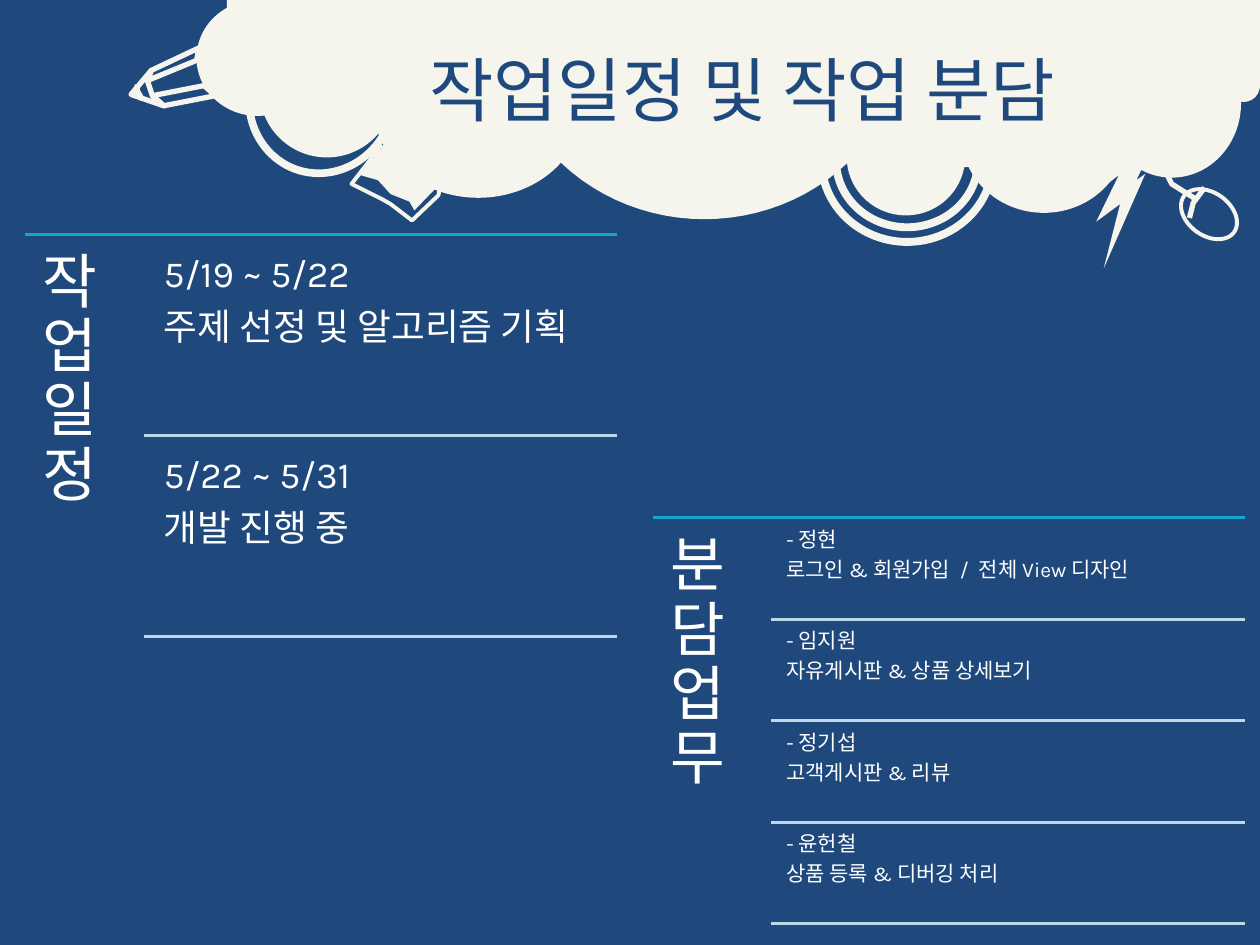
"""Build the work schedule and task sharing slide on a grid of 1000 columns by 750 rows."""
from dataclasses import dataclass
from math import cos, pi, sin

from lxml import etree
from pptx import Presentation
from pptx.dml.color import RGBColor
from pptx.enum.shapes import MSO_CONNECTOR, MSO_SHAPE
from pptx.enum.text import MSO_ANCHOR, PP_ALIGN
from pptx.oxml.ns import qn
from pptx.util import Inches, Pt

COLS, ROWS = 1000, 750
CELL = Inches(10) // COLS
FONT = "Karla"
HUES = {"navy": "1F497D", "cream": "F5F5EE", "teal": "10A8CB", "pale": "BDD9E7", "white": "FFFFFF"}
STRAIGHT = MSO_CONNECTOR.STRAIGHT
RECT, OVAL = MSO_SHAPE.RECTANGLE, MSO_SHAPE.OVAL
DONUT, ARC = MSO_SHAPE.DONUT, MSO_SHAPE.BLOCK_ARC
MIDDLE, TOP = MSO_ANCHOR.MIDDLE, MSO_ANCHOR.TOP
CENTER, LEFT = PP_ALIGN.CENTER, PP_ALIGN.LEFT


@dataclass
class Form:
    """A preset shape; a pen of 0 means filled."""
    kind: int
    box: tuple
    pen: float = 0
    turn: float = 0
    adj: tuple = ()


@dataclass
class Path:
    """An outline through corner points; a pen of 0 means filled."""
    dots: list
    pen: float = 0
    shut: bool = True


@dataclass
class Panel:
    """A heading beside ruled rows of text."""
    head: str
    left: float
    top: float
    step: float
    size: float
    inset: float
    rows: list


def bowl(mid: float, top: float, wide: float, deep: float, parts: int = 48) -> Path:
    """Shape the lower half of an ellipse."""
    turns = [pi * n / parts for n in range(parts + 1)]
    return Path([(mid + wide * cos(t), top + deep * sin(t)) for t in turns])


ART = [
    Form(RECT, (180, 0, 820, 70)),
    Form(OVAL, (935, 153, 49, 34), 2.25, 35.7),
    Path([(944, 173), (947, 161), (956, 149)], 3, False),
    Path([(926, 138), (930, 146), (949, 158)], 3, False),
    Form(DONUT, (652, 63, 136, 129), 4.5, adj=(0.09,)),
    bowl(559, 23, 160, 151),
    bowl(760, 10, 100, 123),
    Form(OVAL, (156, 0, 97, 92)),
    Form(OVAL, (763, 46, 131, 123)),
    Form(OVAL, (297, 16, 165, 141)),
    Form(OVAL, (206, 18, 107, 107)),
    Form(OVAL, (875, 23, 110, 118)),
    Form(OVAL, (672, 78, 94, 93)),
    Form(OVAL, (974, 55, 26, 26)),
    Path([(875, 149), (888, 139), (870, 176), (889, 162), (876, 213), (909, 138), (902, 143),
          (915, 115), (897, 127), (908, 87)]),
    Path([(305, 115), (286, 139), (300, 143), (310, 154), (325, 160), (329, 167), (352, 143),
          (341, 136), (325, 135)]),
    Path([(303, 115), (279, 146), (303, 158), (310, 162), (327, 175), (348, 155), (350, 142)],
         2.25, False),
    Form(ARC, (195, 12, 121, 129), turn=200.2, adj=(108, 202.84, 0.05)),
    Path([(162, 68), (121, 76), (130, 84), (171, 76)], 3),
    Path([(158, 38), (120, 56), (117, 64), (156, 48)], 3),
    Path([(120, 56), (104, 75), (130, 84), (121, 76), (117, 64)], 3),
    Path([(109, 67), (109, 72), (113, 79)], 3, False),
]
PANELS = [
    Panel("작업일정", 20, 186, 159.5, 21, 9, [
        ("5/19 ~ 5/22", "주제 선정 및 알고리즘 기획"),
        ("5/22 ~ 5/31", "개발 진행 중")]),
    Panel("분담 업무", 518, 411, 80.5, 12, 5, [
        ("- 정현", "로그인 & 회원가입  /  전체 View 디자인"),
        ("- 임지원", "자유게시판 & 상품 상세보기"),
        ("- 정기섭", "고객게시판 & 리뷰"),
        ("- 윤헌철", "상품 등록 & 디버깅 처리")]),
]


def tint(name: str) -> RGBColor:
    """Look up a colour."""
    return RGBColor.from_string(HUES[name])


def emu(*cells: float) -> list:
    """Turn grid cells into slide lengths."""
    return [round(c * CELL) for c in cells]


def paint(shape, pen: float) -> None:
    """Fill a shape with cream, or only outline it."""
    shape.shadow.inherit = False
    if pen:
        shape.fill.background()
        shape.line.color.rgb = tint("cream")
        shape.line.width = Pt(pen)
    else:
        shape.fill.solid()
        shape.fill.fore_color.rgb = tint("cream")
        shape.line.fill.background()


def sketch(shapes, item) -> None:
    """Draw one part of the artwork."""
    if isinstance(item, Path):
        dots = [emu(*dot) for dot in item.dots]
        pen = shapes.build_freeform(*dots[0])
        pen.add_line_segments(dots[1:], close=item.shut)
        shape = pen.convert_to_shape()
    else:
        shape = shapes.add_shape(item.kind, *emu(*item.box))
        shape.rotation = item.turn
        for n, value in enumerate(item.adj):
            shape.adjustments[n] = value
    paint(shape, item.pen)


def rule(shapes, left: float, right: float, y: float, hue: str) -> None:
    """Draw a level line."""
    line = shapes.add_connector(STRAIGHT, *emu(left, y, right, y))
    line.line.color.rgb = tint(hue)
    line.line.width = Pt(1.75)
    etree.SubElement(line._element.spPr, qn("a:effectLst"))


def write(shapes, box: tuple, lines: tuple, size: float, hue: str, inset: tuple,
          anchor=TOP, align=LEFT, lead: float = 0.9, gap: float = 0.35) -> None:
    """Place a box of wrapped text."""
    frame = shapes.add_textbox(*emu(*box)).text_frame
    frame.word_wrap = True
    frame.vertical_anchor = anchor
    frame.margin_left, frame.margin_top = emu(*inset)
    frame.margin_right, frame.margin_bottom = emu(*inset)
    frame.text = "\n".join(lines)
    for para in frame.paragraphs:
        para.alignment = align
        para.line_spacing = lead
        para.space_after = Pt(size * gap)
        for run in para.runs:
            run.font.name = FONT
            run.font.size = Pt(size)
            run.font.color.rgb = tint(hue)


def fill(shapes, panel: Panel) -> None:
    """Draw a panel with its heading, rows and rules."""
    left, right = panel.left, panel.left + 470
    rule(shapes, left, right, panel.top, "teal")
    write(shapes, (left, panel.top, 94, 326), (panel.head,), 34, "white", (14, 14))
    for n, lines in enumerate(panel.rows):
        y = panel.top + n * panel.step
        box = (left + 101, y + panel.step * 0.05, 369, panel.step * 0.95)
        write(shapes, box, lines, panel.size, "white", (panel.inset, panel.inset))
        rule(shapes, left + 94, right, y + panel.step, "pale")


def main() -> None:
    """Build and save the slide."""
    deck = Presentation()
    deck.slide_width, deck.slide_height = emu(COLS, ROWS)
    slide = deck.slides.add_slide(deck.slide_layouts[6])
    slide.background.fill.solid()
    slide.background.fill.fore_color.rgb = tint("navy")
    art = slide.shapes.add_group_shape().shapes
    for item in ART:
        sketch(art, item)
    write(slide.shapes, (210, 8, 758, 125), ("작업일정 및 작업 분담",), 40, "navy", (10, 5),
          MIDDLE, CENTER, 1, 0)
    for panel in PANELS:
        fill(slide.shapes.add_group_shape().shapes, panel)
    deck.save("out.pptx")


if __name__ == "__main__":
    main()
